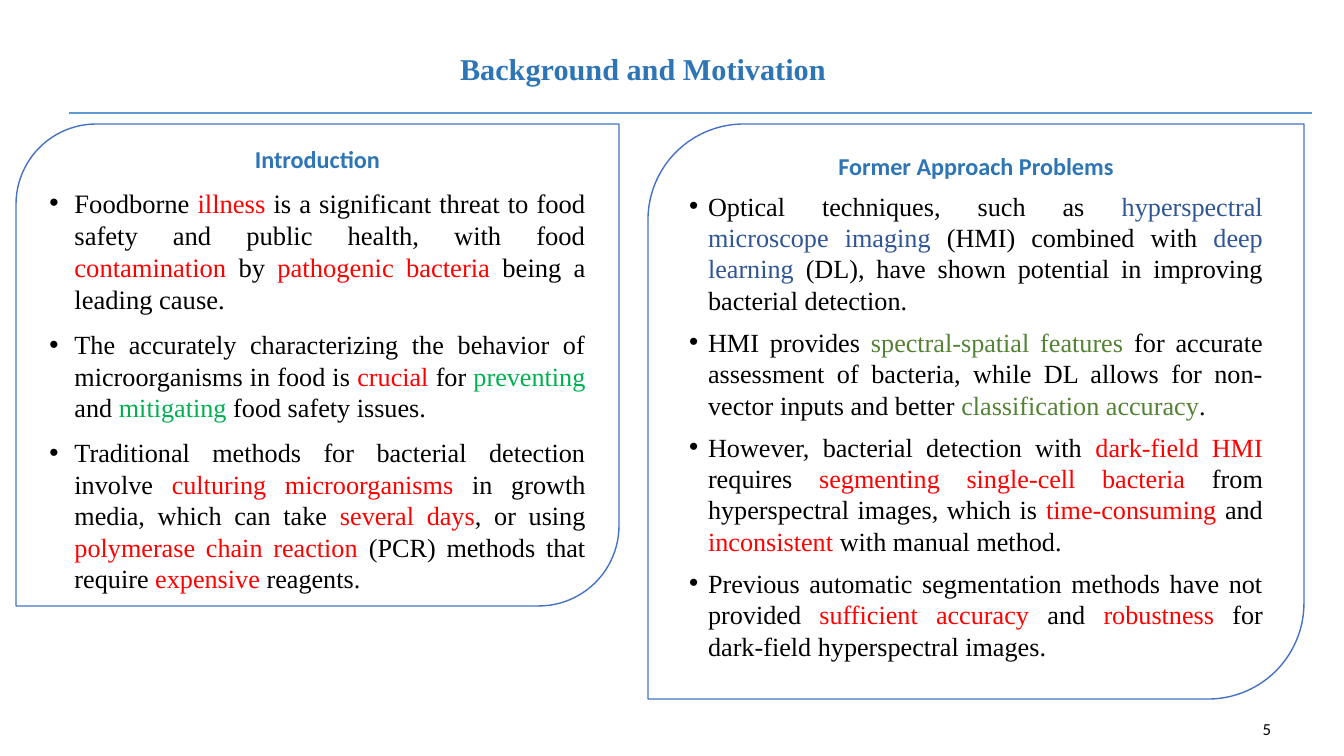
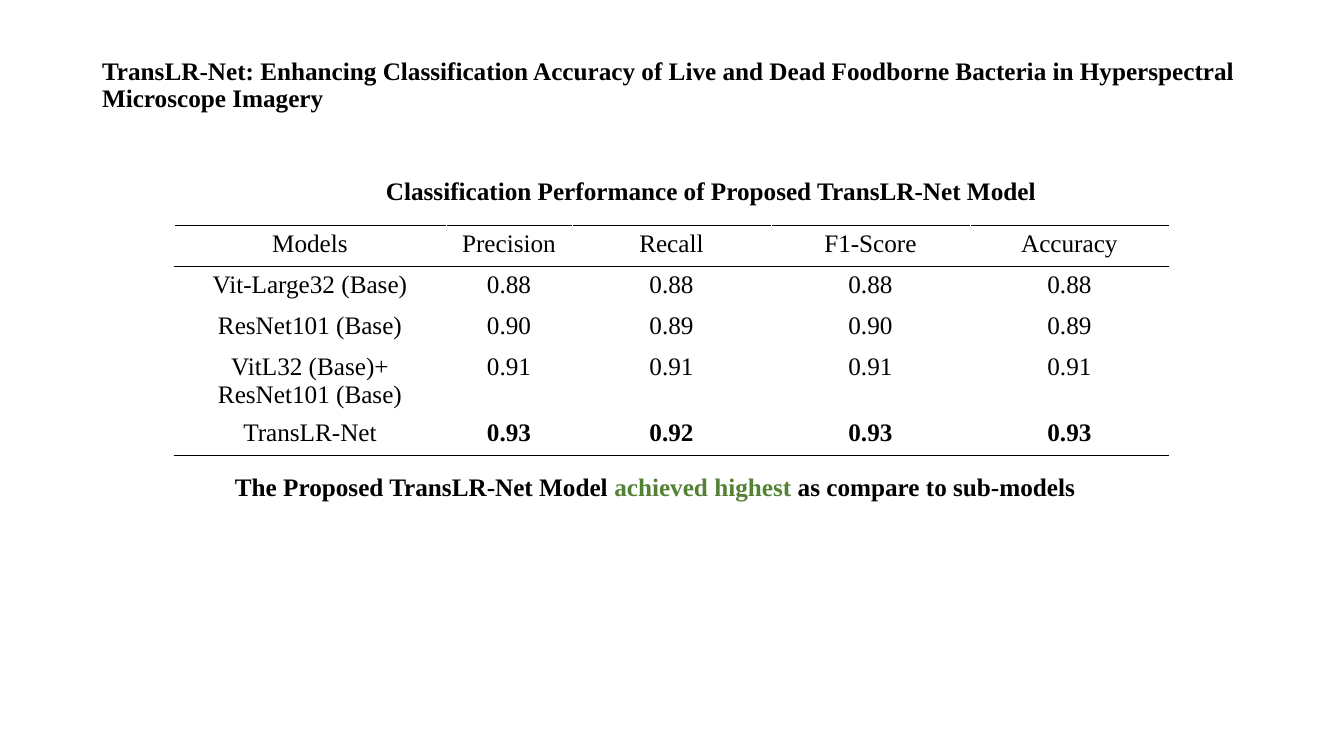
"""Builds two slides on detecting foodborne bacteria with hyperspectral imaging."""
from lxml.etree import SubElement
from pptx import Presentation
from pptx.dml.color import RGBColor
from pptx.enum.shapes import MSO_CONNECTOR, MSO_SHAPE
from pptx.enum.text import MSO_ANCHOR, MSO_AUTO_SIZE, PP_ALIGN
from pptx.oxml.ns import qn
from pptx.util import Emu, Pt

BLACK = RGBColor(0x00, 0x00, 0x00)
WHITE = RGBColor(0xFF, 0xFF, 0xFF)
RED = RGBColor(0xFF, 0x00, 0x00)
GREEN = RGBColor(0x00, 0xB0, 0x50)
OLIVE = RGBColor(0x54, 0x82, 0x35)
NAVY = RGBColor(0x2F, 0x55, 0x97)
BLUE = RGBColor(0x2E, 0x75, 0xB6)
EDGE = RGBColor(0x44, 0x72, 0xC4)
RULE = RGBColor(0x5B, 0x9B, 0xD5)
SERIF, SANS = "Times New Roman", "Calibri"
SCALE = 914400 / 100.8


def px(*nums):
    return [Emu(round(num * SCALE)) for num in nums]


def write(frame, runs, size=18, color=BLACK, bold=False, font=SERIF,
          align=PP_ALIGN.LEFT, line=1.0, before=0, hang=0):
    para = frame.paragraphs[0]
    if para.runs:
        para = frame.add_paragraph()
    if hang:
        props = para._p.get_or_add_pPr()
        indent = px(hang)[0]
        props.set("marL", str(indent))
        props.set("indent", str(-indent))
        SubElement(props, qn("a:buFont"), typeface="Arial")
        SubElement(props, qn("a:buChar"), char="•")
    para.alignment = align
    para.line_spacing = line
    para.space_before = Pt(before)
    for part in [runs] if isinstance(runs, str) else runs:
        words, hue = (part, color) if isinstance(part, str) else part
        run = para.add_run()
        run.text = words
        run.font.size = Pt(size)
        run.font.name = font
        run.font.bold = bold
        run.font.color.rgb = hue


deck = Presentation()
deck.slide_width, deck.slide_height = px(1344, 756)
layout = deck.slide_layouts.get_by_name("Title Only")

heads = [
    ("Background and Motivation", (450, 40, 424, 62), 21.6, BLUE),
    ("TransLR-Net: Enhancing Classification Accuracy of Live and Dead "
     "Foodborne Bacteria in Hyperspectral Microscope Imagery",
     (92, 40, 1160, 91), 18, BLACK),
]
slides = []
for words, place, size, hue in heads:
    slide = deck.slides.add_slide(layout)
    title = slide.shapes.title
    title.left, title.top, title.width, title.height = px(*place)
    frame = title.text_frame
    frame.auto_size = MSO_AUTO_SIZE.NONE
    frame.vertical_anchor = MSO_ANCHOR.MIDDLE
    write(frame, words, size=size, color=hue, bold=True, line=0.9)
    slides.append(slide)
intro, scores = slides

left = [
    ["Foodborne ", ("illness", RED),
     " is a significant threat to food safety and public health, with food ",
     ("contamination", RED), " by ", ("pathogenic bacteria ", RED),
     "being a leading cause."],
    ["The accurately characterizing the behavior of microorganisms in food is ",
     ("crucial", RED), " for ", ("preventing", GREEN), " and ",
     ("mitigating", GREEN), " food safety issues."],
    ["Traditional methods for bacterial detection involve ",
     ("culturing microorganisms ", RED), "in growth media, which can take ",
     ("several days", RED), ", or using ",
     ("polymerase chain reaction ", RED), "(PCR) methods that require ",
     ("expensive", RED), " reagents."],
]
right = [
    ["Optical techniques, such as ", ("hyperspectral microscope imaging", NAVY),
     " (HMI) combined with ", ("deep learning ", NAVY),
     "(DL), have shown potential in improving bacterial detection."],
    ["HMI provides ", ("spectral-spatial features ", OLIVE),
     "for accurate assessment of bacteria, while DL allows for non-vector "
     "inputs and better ", ("classification accuracy", OLIVE), "."],
    ["However, bacterial detection with ", ("dark-field HMI ", RED),
     "requires ", ("segmenting single-cell bacteria ", RED),
     "from hyperspectral images, which is ", ("time-consuming", RED), " and ",
     ("inconsistent ", RED), "with manual method."],
    ["Previous automatic segmentation methods have not provided ",
     ("sufficient accuracy ", RED), "and ", ("robustness", RED),
     " for dark-field hyperspectral images."],
]
panels = [
    ("Introduction", left, (16, 124, 603, 482), (10, 5), 10, 25),
    ("Former Approach Problems", right, (648, 124, 656, 575), (13, 7), 7.5, 19),
]
for head, items, place, inset, gap, hang in panels:
    panel = intro.shapes.add_shape(MSO_SHAPE.ROUND_2_DIAG_RECTANGLE, *px(*place))
    panel.shadow.inherit = False
    panel.fill.solid()
    panel.fill.fore_color.rgb = WHITE
    panel.line.color.rgb = EDGE
    panel.line.width = Pt(1)
    frame = panel.text_frame
    frame.word_wrap = True
    frame.vertical_anchor = MSO_ANCHOR.TOP
    frame.margin_left, frame.margin_top = px(*inset)
    frame.margin_right, frame.margin_bottom = px(*inset)
    write(frame, head, size=17.3, color=BLUE, bold=True, font=SANS,
          align=PP_ALIGN.CENTER, line=0.7)
    for item in items:
        write(frame, item, size=19 if item is left[0] else 18.7,
              align=PP_ALIGN.JUSTIFY, before=gap, hang=hang)

rule = intro.shapes.add_connector(MSO_CONNECTOR.STRAIGHT, *px(69, 113, 1312, 113))
rule.line.color.rgb = RULE
rule.line.width = Pt(1.5)
SubElement(rule._element.spPr, qn("a:effectLst"))

rows = [
    ("Models", "Precision", "Recall", "F1-Score", "Accuracy"),
    ("Vit-Large32 (Base)", "0.88", "0.88", "0.88", "0.88"),
    ("ResNet101 (Base)", "0.90", "0.89", "0.90", "0.89"),
    ("VitL32 (Base)+ ResNet101 (Base)", "0.91", "0.91", "0.91", "0.91"),
    ("TransLR-Net", "0.93", "0.92", "0.93", "0.93"),
]
wide = [272, 126, 199, 199, 199]
tall = [41, 41, 41, 66, 41]
last = len(rows) - 1
table = scores.shapes.add_table(
    len(rows), len(wide), *px(174, 225, sum(wide), sum(tall))).table
table.first_row = table.horz_banding = False
for col, size in zip(table.columns, px(*wide)):
    col.width = size
for row, size in zip(table.rows, px(*tall)):
    row.height = size
for i, row in enumerate(rows):
    tints = {
        "lnL": WHITE,
        "lnR": WHITE,
        "lnT": BLACK if i < 2 else WHITE,
        "lnB": BLACK if i in (0, last) else WHITE,
    }
    for j, words in enumerate(row):
        cell = table.cell(i, j)
        props = cell._tc.get_or_add_tcPr()
        for side, tint in tints.items():
            edge = SubElement(props, qn(f"a:{side}"), w=str(Pt(0.5)))
            fill = SubElement(edge, qn("a:solidFill"))
            SubElement(fill, qn("a:srgbClr"), val=str(tint))
        cell.fill.solid()
        cell.fill.fore_color.rgb = WHITE
        write(cell.text_frame, words, bold=i == last and j > 0,
              align=PP_ALIGN.CENTER)

strong = dict(bold=True, line=0.9)
notes = [
    (intro, "5", (1244, 709, 37, 40),
     dict(size=12, font=SANS, align=PP_ALIGN.RIGHT)),
    (scores, "Classification Performance of Proposed TransLR-Net Model",
     (376, 147, 672, 91), strong),
    (scores, ["The Proposed TransLR-Net Model ", ("achieved highest ", OLIVE),
              "as compare to sub-models"], (225, 443, 862, 91), strong),
]
for slide, words, place, style in notes:
    frame = slide.shapes.add_textbox(*px(*place)).text_frame
    frame.word_wrap = True
    frame.vertical_anchor = MSO_ANCHOR.MIDDLE
    write(frame, words, **style)

deck.save("out.pptx")
